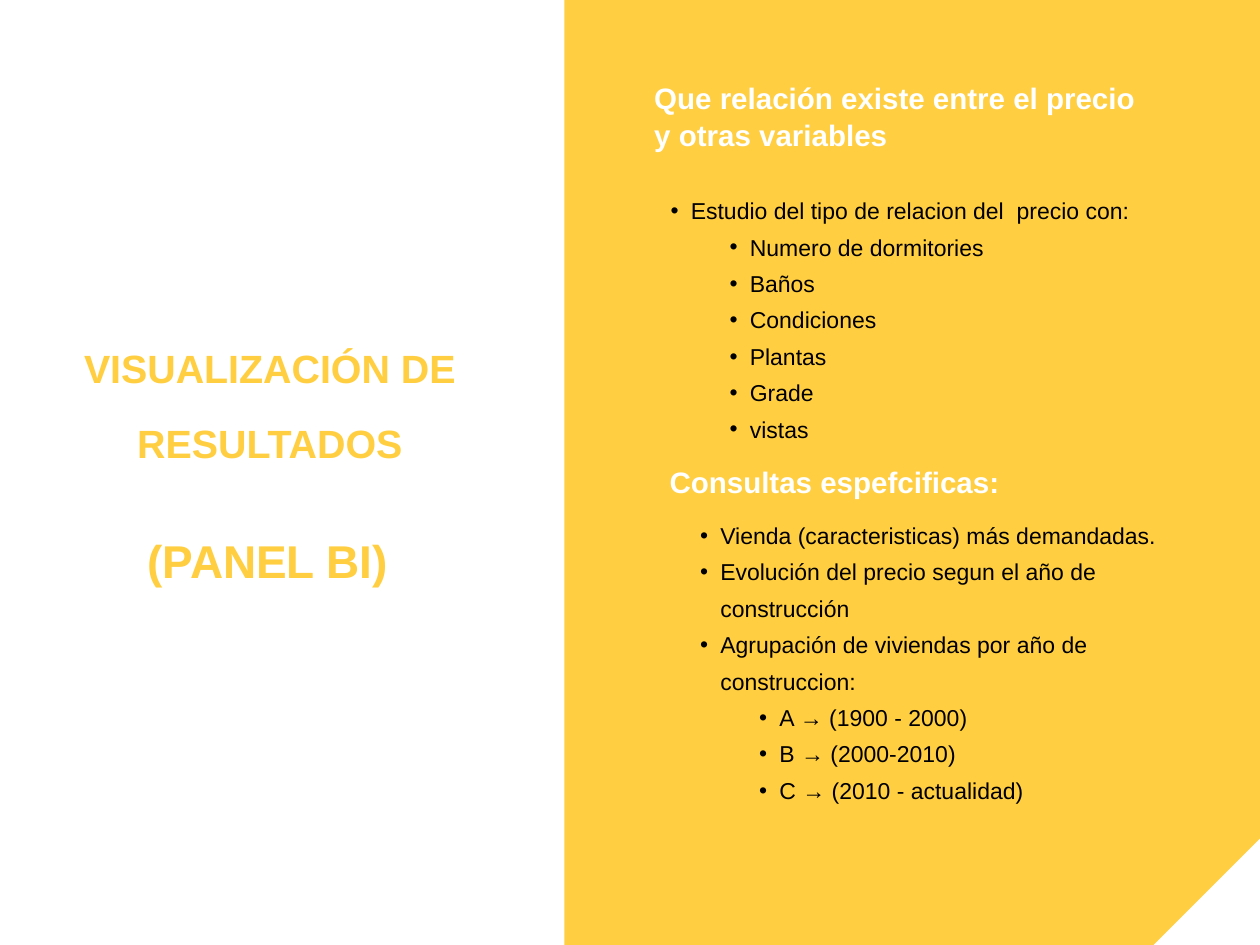
from dataclasses import dataclass

from lxml.etree import SubElement
from pptx import Presentation
from pptx.dml.color import RGBColor
from pptx.enum.shapes import MSO_SHAPE
from pptx.enum.text import PP_ALIGN
from pptx.oxml.ns import qn
from pptx.util import Inches, Pt


@dataclass(frozen=True)
class Theme:
    """Colours, font and type sizes of the slide."""
    gold: RGBColor = RGBColor(0xFF, 0xCE, 0x41)
    white: RGBColor = RGBColor(0xFF, 0xFF, 0xFF)
    black: RGBColor = RGBColor(0, 0, 0)
    font: str = "Arial"
    title: int = 24
    tool: int = 28
    head: int = 18
    body: int = 14
    lead: float = 22.2


THEME = Theme()

PRICE = [
    (1, "Estudio del tipo de relacion del  precio con:"),
    (2, "Numero de dormitories"),
    (2, "Baños"),
    (2, "Condiciones"),
    (2, "Plantas"),
    (2, "Grade"),
    (2, "vistas"),
]
QUERIES = [
    (1, "Vienda (caracteristicas) más demandadas."),
    (1, "Evolución del precio segun el año de construcción"),
    (1, "Agrupación de viviendas por año de construccion:"),
    (2, "A → (1900 - 2000)"),
    (2, "B → (2000-2010)"),
    (2, "C → (2010 - actualidad)"),
]


def add_frame(slide, left, top, width, height):
    """Add a wrapping text box without margins and return its frame."""
    box = slide.shapes.add_textbox(Inches(left), Inches(top), Inches(width), Inches(height))
    frame = box.text_frame
    frame.word_wrap = True
    frame.margin_left = frame.margin_top = frame.margin_right = frame.margin_bottom = 0
    return frame


def write(para, text, size=THEME.body, color=THEME.black, bold=False,
          align=PP_ALIGN.LEFT, lead=THEME.lead, level=0):
    """Fill a paragraph with text, bulleted when it has a level."""
    para.alignment = align
    para.line_spacing = Pt(lead)
    if level:
        para.level = level
        props = para._p.get_or_add_pPr()
        props.set("marL", str(Inches(0.43 + 0.5 * (level - 1))))
        props.set("indent", str(Inches(-0.17)))
        SubElement(props, qn("a:buFont"), typeface=THEME.font)
        SubElement(props, qn("a:buChar"), char="•")
    run = para.add_run()
    run.text = text
    font = run.font
    font.name, font.size, font.bold = THEME.font, Pt(size), bold
    font.color.rgb = color


def paint(shape, color):
    """Give a shape a flat fill without line or shadow."""
    shape.shadow.inherit = False
    shape.fill.solid()
    shape.fill.fore_color.rgb = color
    shape.line.fill.background()


def add_title(slide, left, top, width, height):
    """Place the white panel with the title and the tool name."""
    panel = slide.shapes.add_shape(
        MSO_SHAPE.RECTANGLE, Inches(left), Inches(top), Inches(width), Inches(height))
    paint(panel, THEME.white)
    frame = add_frame(slide, left + 0.44, top + 2.67, 3.69, 1.21)
    write(frame.paragraphs[0], "VISUALIZACIÓN DE RESULTADOS", size=THEME.title,
          color=THEME.gold, bold=True, align=PP_ALIGN.CENTER, lead=46.1)
    frame = add_frame(slide, left + 1.25, top + 4.71, 2.47, 0.29)
    write(frame.paragraphs[0], "(PANEL BI)", size=THEME.tool,
          color=THEME.gold, bold=True, lead=19.4)


def add_topic(slide, head, items, head_box, list_box):
    """Place a heading and its bullet list in their boxes."""
    write(add_frame(slide, *head_box).paragraphs[0], head,
          size=THEME.head, color=THEME.white, bold=True)
    frame = add_frame(slide, *list_box)
    for index, (level, text) in enumerate(items):
        para = frame.add_paragraph() if index else frame.paragraphs[0]
        write(para, text, level=level)


def add_corner(slide, left, top, width, height):
    """Cut the lower right corner of the box with a white triangle."""
    right, base = Inches(left + width), Inches(top + height)
    path = slide.shapes.build_freeform(right, Inches(top))
    path.add_line_segments([(right, base), (Inches(left), base)], close=True)
    paint(path.convert_to_shape(), THEME.white)


def main():
    """Build the slide and save it."""
    deck = Presentation()
    deck.slide_width, deck.slide_height = Inches(10.67), Inches(8)
    slide = deck.slides.add_slide(deck.slide_layouts[6])
    slide.background.fill.solid()
    slide.background.fill.fore_color.rgb = THEME.gold
    add_title(slide, 0, 0, 4.78, 8)
    add_topic(slide, "Que relación existe entre el precio y otras variables", PRICE,
              (5.54, 0.67, 4.22, 0.6), (5.42, 1.59, 4.34, 2.13))
    add_topic(slide, "Consultas espefcificas:", QUERIES,
              (5.67, 3.92, 4.65, 0.29), (5.67, 4.34, 4.56, 2.74))
    add_corner(slide, 9.77, 7.1, 0.9, 0.9)
    deck.save("out.pptx")


if __name__ == "__main__":
    main()
